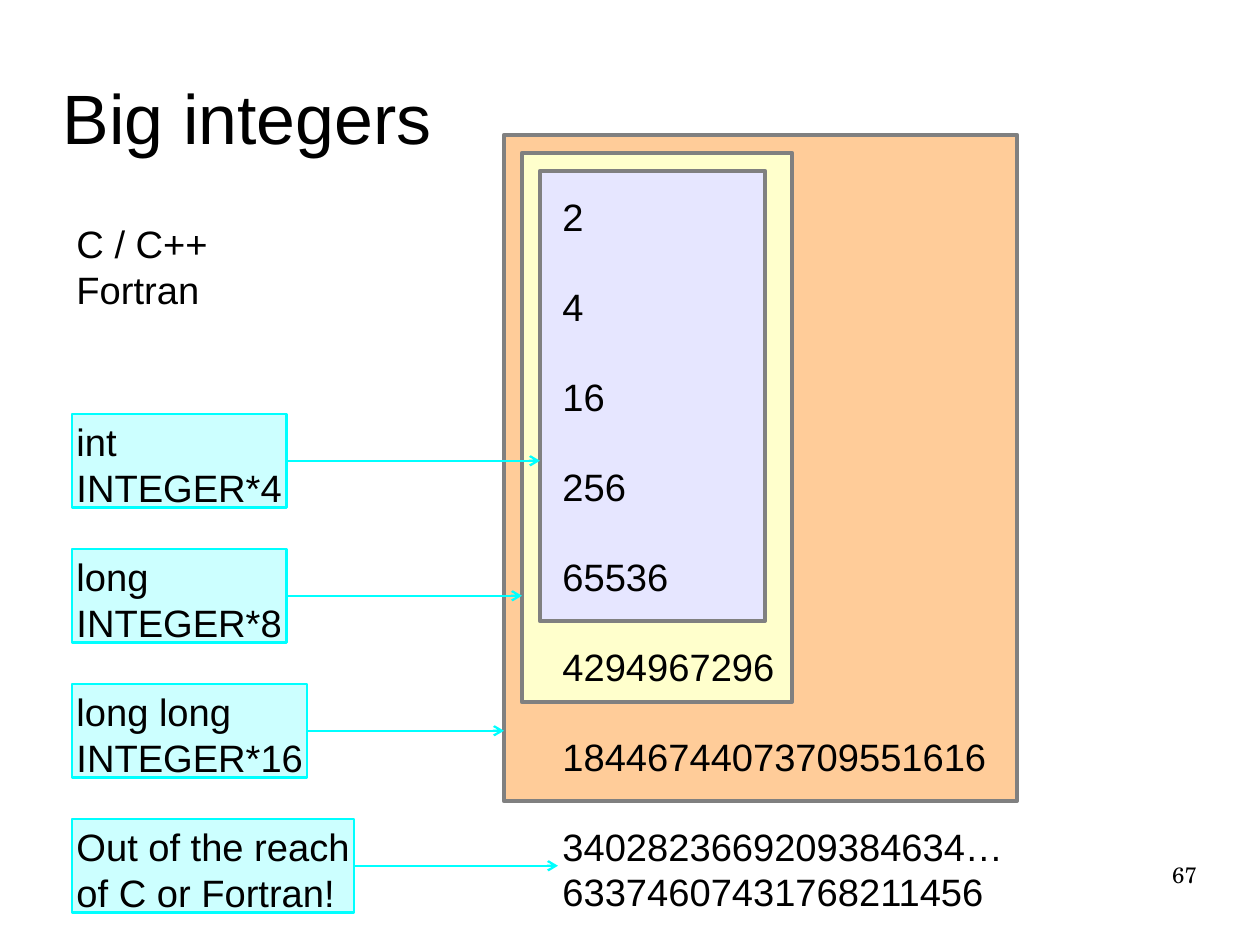
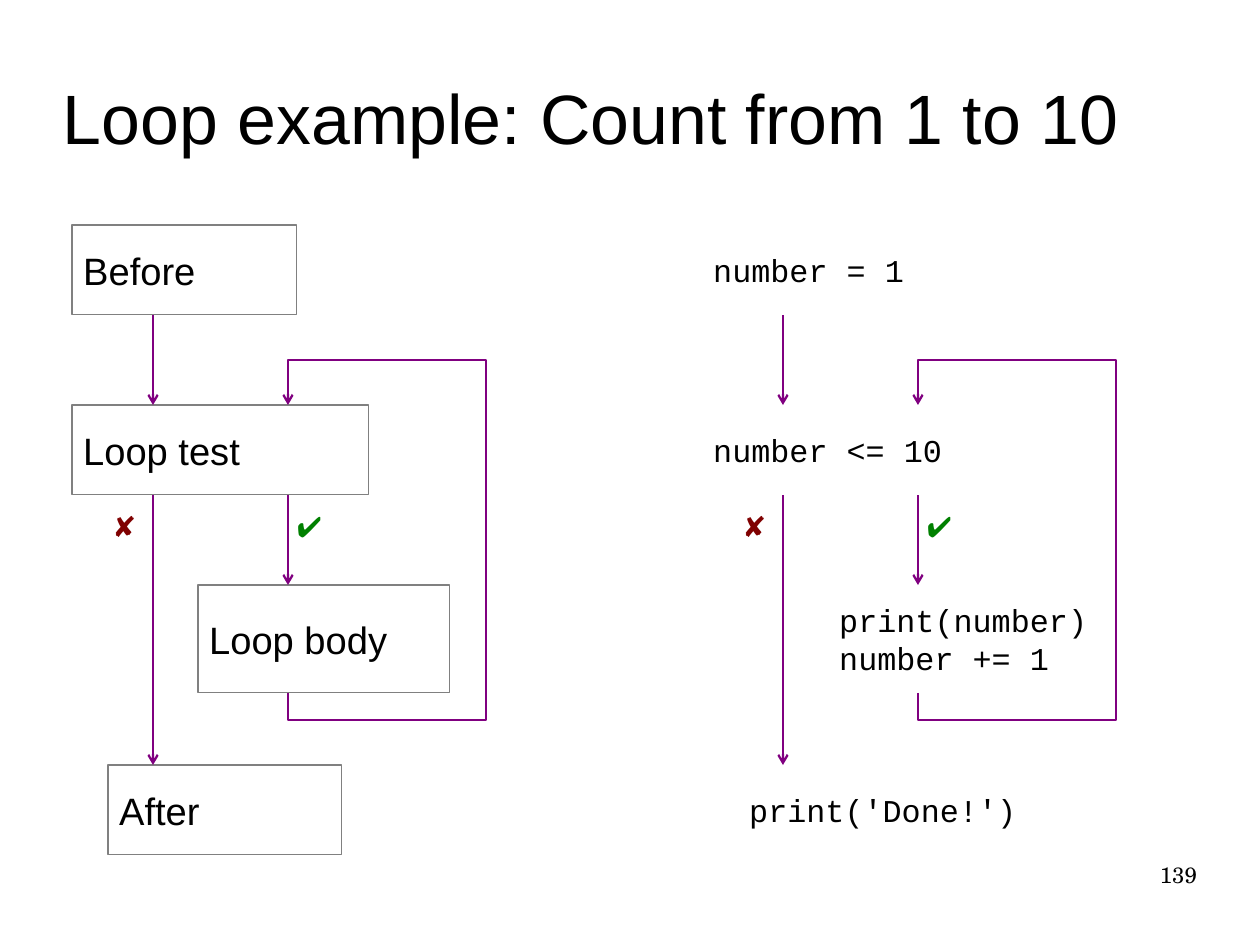
from lxml import etree
from pptx import Presentation
from pptx import util as u
from pptx.dml.color import RGBColor
from pptx.enum import shapes, text
from pptx.oxml.ns import qn

# The slide is a grid of 28 columns and 21 rows, each one centimetre.
COLS, ROWS = 28, 21
BLANK_LAYOUT = 6

BLACK = RGBColor(0x00, 0x00, 0x00)
GRAY = RGBColor(0x80, 0x80, 0x80)
ORANGE = RGBColor(0xFF, 0xCC, 0x99)
YELLOW = RGBColor(0xFF, 0xFF, 0xCC)
LAVENDER = RGBColor(0xE6, 0xE6, 0xFF)
PALE_CYAN = RGBColor(0xCC, 0xFF, 0xFF)
CYAN = RGBColor(0x00, 0xFF, 0xFF)
PURPLE = RGBColor(0x80, 0x00, 0x80)
MAROON = RGBColor(0x80, 0x00, 0x00)
GREEN = RGBColor(0x00, 0x80, 0x00)

SANS, MONO, SERIF = "Arial", "Courier New", "TeX Gyre Schola"
TIGHT = (0.1, 0.1)
ROOMY = (0.25, 0.13)
ARROW_PT = 1.42

TYPES = [  # label, label width, column where its arrow ends
    ("int\nINTEGER*4", 4.77, 12),
    ("long\nINTEGER*8", 4.77, 11.6),
    ("long long\nINTEGER*16", 5.23, 11.2),
    ("Out of the reach\nof C or Fortran!", 6.27, 12.4),
]
RANGES = [  # left, top, width, height, fill
    (11.2, 3, 11.4, 14.8, ORANGE),
    (11.6, 3.4, 6, 12.2, YELLOW),
    (12, 3.8, 5, 10, LAVENDER),
]
POWERS = ["2", "4", "16", "256", "65536", "4294967296", "18446744073709551616",
          "3402823669209384634…\n63374607431768211456"]

STEPS = [  # left (from the flow's edge), top, width, height
    (0, 5, 5, 2),
    (0, 9, 6.6, 2),
    (2.8, 13, 5.6, 2.4),
    (0.8, 17, 5.2, 2),
]
CODE_WIDTH = 6.6
STEP_NAMES = ["Before", "Loop test", "Loop body", "After"]
STEP_CODE = ["number = 1", "number <= 10", "print(number)\nnumber += 1",
             "print('Done!')"]


def grid(*lengths):
    return [u.Cm(n) for n in lengths]


def write(sp, content, size=24, font=SANS, color=BLACK, inset=TIGHT, wrap=True,
          align=text.PP_ALIGN.LEFT, anchor=text.MSO_ANCHOR.TOP):
    tf = sp.text_frame
    tf.word_wrap = wrap
    tf.vertical_anchor = anchor
    tf.margin_left = tf.margin_right = u.Cm(inset[0])
    tf.margin_top = tf.margin_bottom = u.Cm(inset[1])
    tf.text = content
    for p in tf.paragraphs:
        p.alignment = align
        p.font.size = u.Pt(size)
        p.font.name = font
        p.font.color.rgb = color


def add_text(parent, content, at, **style):
    write(parent.add_textbox(*grid(*at)), content, **style)


def add_box(parent, at, line, width, fill=None):
    sp = parent.add_shape(shapes.MSO_SHAPE.RECTANGLE, *grid(*at))
    sp.shadow.inherit = False
    if fill is None:
        sp.fill.background()
    else:
        sp.fill.solid()
        sp.fill.fore_color.rgb = fill
    sp.line.color.rgb = line
    sp.line.width = u.Pt(width)
    return sp


def make_arrow(sp, color):
    """Give a line or open outline its colour, width and open arrowhead."""
    sp.line.color.rgb = color
    sp.line.width = u.Pt(ARROW_PT)
    ln = sp.element.find(".//" + qn("a:ln"))
    etree.SubElement(ln, qn("a:tailEnd"), type="arrow")


def add_arrow(parent, start, end, color):
    sp = parent.add_connector(shapes.MSO_CONNECTOR.STRAIGHT, *grid(*start, *end))
    make_arrow(sp, color)
    etree.SubElement(sp.element.spPr, qn("a:effectLst"))


def add_bent_arrow(parent, points, color):
    start, *rest = [grid(*point) for point in points]
    outline = parent.build_freeform(*start)
    outline.add_line_segments(rest, close=False)
    sp = outline.convert_to_shape()
    sp.shadow.inherit = False
    sp.fill.background()
    make_arrow(sp, color)


def add_slide(prs, title, number):
    """Add a slide with the shared title and page number."""
    slide = prs.slides.add_slide(prs.slide_layouts[BLANK_LAYOUT])
    add_text(slide.shapes, title, (1.4, 0.84, 25.2, 3.5), size=44, inset=(0, 0),
             anchor=text.MSO_ANCHOR.MIDDLE)
    add_text(slide.shapes, str(number), (20.07, 19.13, 6.53, 1.45), size=14,
             font=SERIF, inset=(0, 0), align=text.PP_ALIGN.RIGHT)
    return slide.shapes


def add_big_integers(prs):
    parent = add_slide(prs, "Big integers", 67)
    for *at, fill in RANGES:
        add_box(parent, at, GRAY, 2.83, fill)
    for i, power in enumerate(POWERS):
        lines = power.count("\n") + 1
        add_text(parent, power, (12.4, 4.19 + 2 * i, 10.4, 0.2 + 0.94 * lines))

    left, height = 1.6, 2.08
    add_text(parent, "C / C++\nFortran", (left, 4.8, 4, height))
    for i, (label, width, target) in enumerate(TYPES):
        top = 9.2 + 3 * i
        sp = add_box(parent, (left, top, width, height), CYAN, ARROW_PT, PALE_CYAN)
        write(sp, label, wrap=False)
        middle = top + height / 2
        add_arrow(parent, (left + width, middle), (target, middle), CYAN)


def add_flow(parent, left, labels, is_code):
    """Draw the loop diagram, with boxed step names or with bare code."""
    flow = parent.add_group_shape().shapes
    style = dict(inset=ROOMY, anchor=text.MSO_ANCHOR.MIDDLE)
    for label, (x, y, width, height) in zip(labels, STEPS):
        if is_code:
            add_text(flow, label, (left + x, y, CODE_WIDTH, height),
                     size=20, font=MONO, **style)
        else:
            write(add_box(flow, (left + x, y, width, height), GRAY, 0), label, **style)

    exit_x, body_x, return_x = left + 1.8, left + 4.8, left + 9.2
    for x, top, bottom in [(exit_x, 7, 9), (exit_x, 11, 17), (body_x, 11, 13)]:
        add_arrow(flow, (x, top), (x, bottom), PURPLE)
    add_bent_arrow(flow, [(body_x, 15.4), (body_x, 16), (return_x, 16),
                          (return_x, 8), (body_x, 8), (body_x, 9)], PURPLE)
    for mark, x, color in [("✘", exit_x - 1, MAROON), ("✔", body_x + 0.1, GREEN)]:
        add_text(flow, mark, (x, 11.2, 1, 1.14), size=18, color=color)


def add_loop_example(prs):
    parent = add_slide(prs, "Loop example: Count from 1 to 10", 139)
    add_flow(parent, 1.6, STEP_NAMES, is_code=False)
    add_flow(parent, 15.6, STEP_CODE, is_code=True)


def main():
    prs = Presentation()
    prs.slide_width, prs.slide_height = grid(COLS, ROWS)
    add_big_integers(prs)
    add_loop_example(prs)
    prs.save("out.pptx")


if __name__ == "__main__":
    main()
